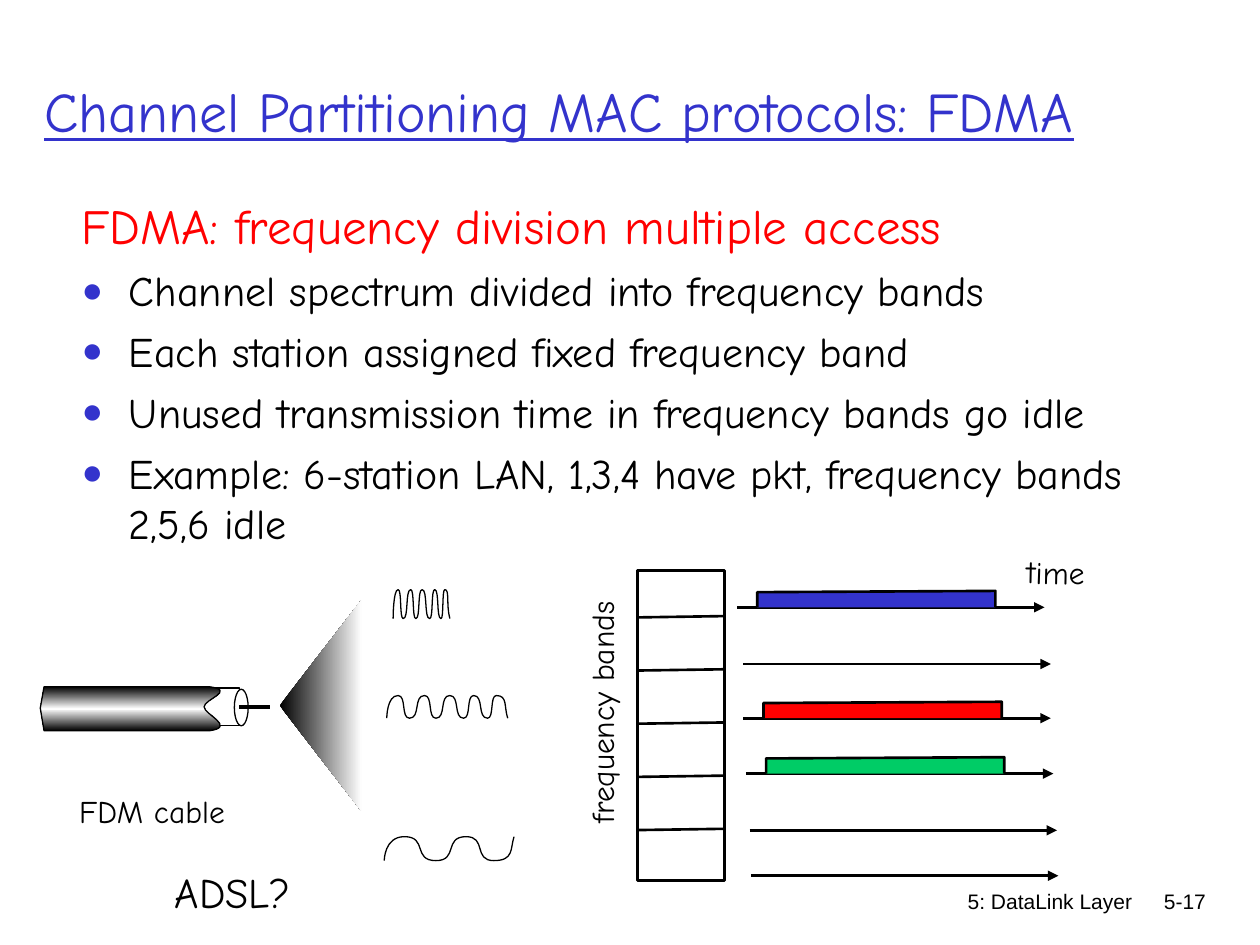
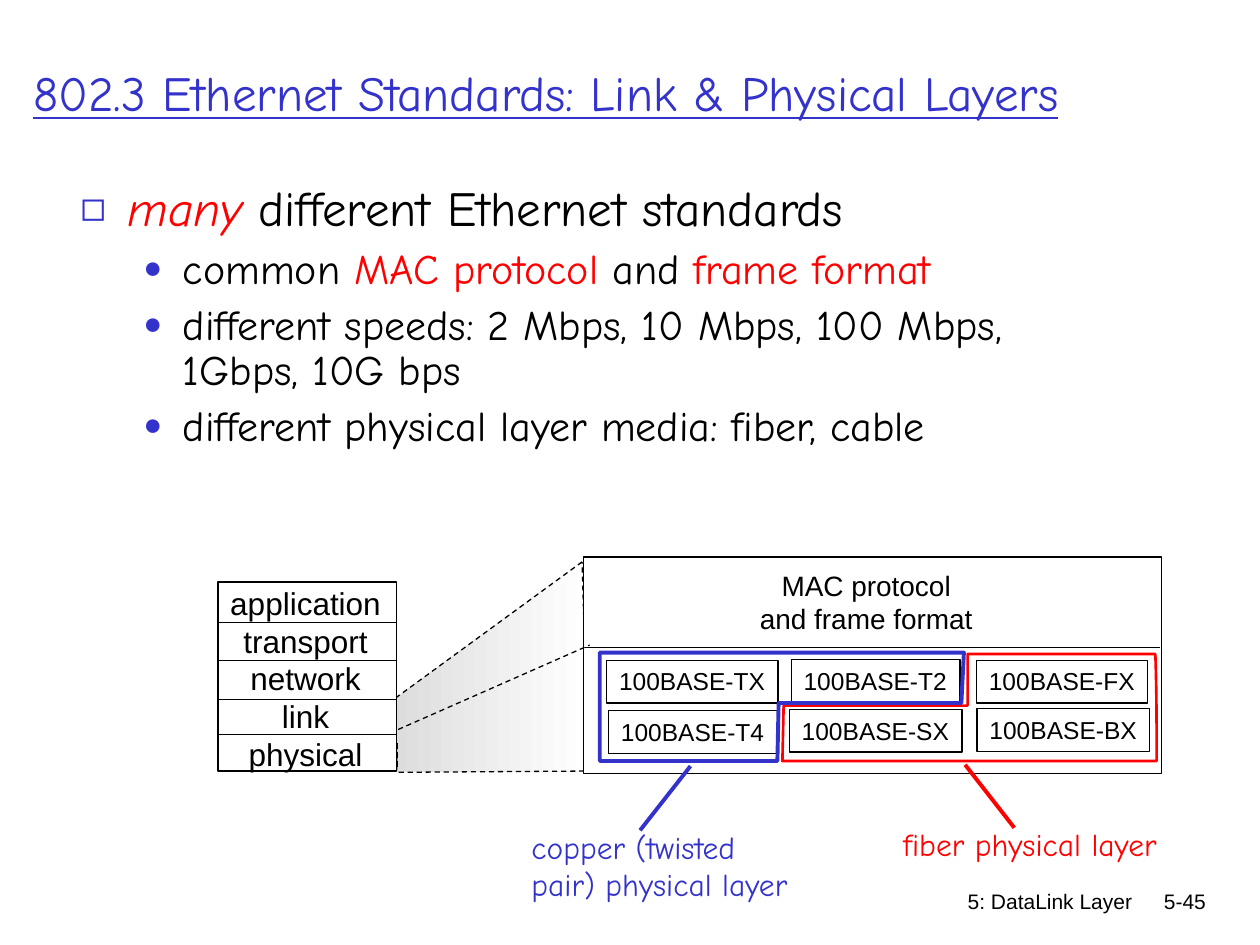
from lxml import etree
from pptx import Presentation
from pptx.dml.color import RGBColor
from pptx.enum.dml import MSO_LINE
from pptx.enum.shapes import MSO_CONNECTOR, MSO_SHAPE
from pptx.enum.text import MSO_ANCHOR, MSO_AUTO_SIZE, PP_ALIGN
from pptx.oxml import parse_xml
from pptx.oxml.ns import nsdecls, qn
from pptx.util import Inches, Pt

# Grid: 100 columns by 75 rows over a 10 x 7.5 inch slide
COLUMNS, ROWS = 100, 75
CELL = Inches(10) // COLUMNS
TITLE_FONT, LABEL_FONT = "Comic Neue", "Arial"
COLORS = {"black": "000000", "white": "FFFFFF", "blue": "3333CC",
          "red": "FF0000", "green": "00CC66", "mist": "DDDDDD"}


def cells(count):
    return round(count * CELL)


def rgb(name):
    return RGBColor.from_string(COLORS[name])


# Text
def para(*runs, **style):
    return {"runs": runs, **style}


def add_bullet(paragraph, char, size, indent, hanging):
    props = paragraph._p.get_or_add_pPr()
    props.set("marL", str(cells(indent)))
    props.set("indent", str(-cells(hanging)))
    if char:
        color = etree.SubElement(props, qn("a:buClr"))
        etree.SubElement(color, qn("a:srgbClr"), val=COLORS["blue"])
        etree.SubElement(props, qn("a:buSzPct"), val=str(size * 1000))
        etree.SubElement(props, qn("a:buFont"), typeface=LABEL_FONT)
        etree.SubElement(props, qn("a:buChar"), char=char)


def write_text(frame, paragraphs, size=18, font=TITLE_FONT, color="black",
               align=PP_ALIGN.LEFT, underline=None, anchor=MSO_ANCHOR.TOP,
               wrap=False, spacing=None):
    """Fill a frame; a paragraph is a string or para(), a run a string or (string, color, italic)."""
    frame.word_wrap = wrap
    frame.auto_size = MSO_AUTO_SIZE.NONE
    frame.vertical_anchor = anchor
    for index, item in enumerate(paragraphs):
        item = para(item) if isinstance(item, str) else item
        paragraph = frame.add_paragraph() if index else frame.paragraphs[0]
        if "bullet" in item:
            add_bullet(paragraph, *item["bullet"])
        paragraph.alignment = align
        if spacing:
            paragraph.line_spacing = spacing
        if index and "before" in item:
            paragraph.space_before = Pt(item["before"])
        for piece in item["runs"]:
            words, tint, italic = (piece, color, None) if isinstance(piece, str) else piece
            run = paragraph.add_run()
            run.text = words
            run.font.name = font
            run.font.size = Pt(item.get("size", size))
            run.font.color.rgb = rgb(tint)
            run.font.italic = italic
            run.font.underline = underline


def add_label(slide, box, *paragraphs, rotation=0, **style):
    label = slide.shapes.add_textbox(*map(cells, box))
    label.rotation = rotation
    write_text(label.text_frame, paragraphs, **style)


# Lines and shapes
def set_line(line, color, width, dashed=False):
    line.color.rgb = rgb(color)
    line.width = Pt(width)
    if dashed:
        line.dash_style = MSO_LINE.DASH


def add_line(slide, start, end, color="black", width=0.75, dashed=False, arrow=False):
    line = slide.shapes.add_connector(MSO_CONNECTOR.STRAIGHT, *map(cells, (*start, *end)))
    set_line(line.line, color, width, dashed)
    if arrow:
        etree.SubElement(line.line._get_or_add_ln(), qn("a:tailEnd"), type="triangle")
    etree.SubElement(line._element.spPr, qn("a:effectLst"))


def paint(shape, fill, line, width, dashed=False):
    shape.shadow.inherit = False
    if fill:
        shape.fill.solid()
        shape.fill.fore_color.rgb = rgb(fill)
    else:
        shape.fill.background()
    if line:
        set_line(shape.line, line, width, dashed)
    else:
        shape.line.fill.background()


def add_box(slide, box, kind=MSO_SHAPE.RECTANGLE, fill="white", width=0.75):
    shape = slide.shapes.add_shape(kind, *map(cells, box))
    paint(shape, fill, "black", width)
    return shape


def add_outline(slide, points, fill=None, line="black", width=0.75, dashed=False,
                closed=True, bends=None):
    """Draw through the points; bends maps a point's index to the two handles of its curve."""
    (left, top), *rest = [(cells(x), cells(y)) for x, y in points]
    builder = slide.shapes.build_freeform(left, top)
    builder.add_line_segments(rest, close=closed)
    shape = builder.convert_to_shape()
    paint(shape, fill, line, width, dashed)
    strokes = list(shape._element.iter(qn("a:lnTo")))
    for index, handles in (bends or {}).items():
        stroke = strokes[index - 1]
        stroke.tag = qn("a:cubicBezTo")
        for place, (x, y) in enumerate(handles):
            handle = etree.Element(qn("a:pt"), x=str(cells(x) - shape.left),
                                   y=str(cells(y) - shape.top))
            stroke.insert(place, handle)
    return shape


def add_gradient(shape, *colors, angle=0):
    stops = "".join(
        f'<a:gs pos="{100000 * i // (len(colors) - 1)}"><a:srgbClr val="{COLORS[c]}"/></a:gs>'
        for i, c in enumerate(colors))
    gradient = parse_xml(f'<a:gradFill {nsdecls("a")} rotWithShape="1"><a:gsLst>{stops}</a:gsLst>'
                         f'<a:lin ang="{angle * 60000}" scaled="0"/></a:gradFill>')
    props = shape._element.spPr
    props.replace(props.find(qn("a:noFill")), gradient)


def add_wave(slide, turns, crest, trough):
    """Draw a wave that swings between trough and crest at each turn."""
    points = [(x, crest if i % 2 else trough) for i, x in enumerate(turns)]
    bends = {}
    for i, ((x0, y0), (x1, y1)) in enumerate(zip(points, points[1:]), start=1):
        bends[i] = (x0 + 0.75 * (x1 - x0), y0), (x0 + 0.25 * (x1 - x0), y1)
    (x0, y0), (_, y1) = points[:2]
    bends[1] = (x0, y0), (x0, y1)
    (_, y0), (x1, y1) = points[-2:]
    bends[len(points) - 1] = (x1, y0), (x1 - 0.3, (y0 + y1) / 2)
    add_outline(slide, points, closed=False, bends=bends)


# Shared slide frame
def add_titled_slide(deck, title, box, size, number):
    slide = deck.slides.add_slide(deck.slide_layouts[5])
    heading = slide.shapes.title
    heading.left, heading.top, heading.width, heading.height = map(cells, box)
    write_text(heading.text_frame, [title], size=size, color="blue", underline=True,
               anchor=MSO_ANCHOR.MIDDLE, wrap=True)
    for words, left, width in (("5: DataLink Layer", 59.2, 31.65), (number, 89.3, 7.4)):
        add_label(slide, (left, 70, width, 5), words, size=12, font=LABEL_FONT,
                  align=PP_ALIGN.RIGHT, wrap=True)
    return slide


# FDMA slide
def draw_frequency_bands(slide):
    add_box(slide, (50.6, 45.3, 6.9, 24.6), width=1.5)
    for band in range(5):
        y = 48.9 + 4.22 * band
        add_line(slide, (50.6, y + 0.1), (57.4, y), width=1.5)
    stations = [(58.5, 48.2, "blue"), (59, 52.7, None), (59, 57, "red"),
                (59.2, 61.4, "green"), (59.5, 65.9, None), (59.6, 69.5, None)]
    for x, y, packet in stations:
        add_line(slide, (x, y), (x + 24.4, y), width=1.5, arrow=True)
        if packet:
            left, right = x + 1.6, x + 20.5
            add_outline(slide, [(left, y), (left, y - 1.2), (right, y - 1.3), (right, y)],
                        fill=packet, width=1.5, closed=False)
    add_label(slide, (37.9, 54.5, 19.7, 4), "frequency bands", rotation=270)
    add_label(slide, (80.5, 43.4, 6.6, 4), "time", rotation=1.1)


def draw_cable(slide):
    cone = add_outline(slide, [(28.7, 47.6), (22.2, 56), (28.7, 64.4)], line=None)
    add_gradient(cone, "black", "white")
    add_box(slide, (16.1, 54.6, 2.9, 3))
    jacket = add_outline(
        slide, [(3.5, 54.5), (3.2, 56.2), (3.5, 58), (16.6, 58), (16.2, 56.1), (16.6, 54.5)],
        bends={4: ((18.8, 57.7), (16.2, 56.7)), 5: ((16.2, 55.5), (18.8, 54.8))})
    add_gradient(jacket, "black", "white", "black", angle=90)
    add_box(slide, (18.6, 54.7, 1.1, 2.9), MSO_SHAPE.OVAL)
    add_line(slide, (19, 56.1), (21.4, 56.1), width=2.25)
    add_wave(slide, [30.7, 31.6, 32.5, 33.7, 34.6, 35.7, 36.8, 37.6, 38.7, 39.4, 40.3], 55.2, 57)
    add_wave(slide, [31.2, 31.6, 32, 32.6, 33, 33.5, 34.1, 34.5, 35, 35.3, 35.7], 46.8, 49.1)
    add_wave(slide, [30.5, 32.1, 34.6, 37, 39.2, 40.8], 66.4, 68.3)
    add_label(slide, (5.3, 62.4, 13.6, 4), "FDM cable")
    add_label(slide, (12.9, 68.3, 11.2, 5), "ADSL?", size=24)


def build_fdma(deck):
    slide = add_titled_slide(deck, "Channel Partitioning MAC protocols: FDMA",
                             (2.5, 2.5, 94.4, 12.5), 32, "5-17")
    facts = ["Channel spectrum divided into frequency bands",
             "Each station assigned fixed frequency band",
             "Unused transmission time in frequency bands go idle",
             "Example: 6-station LAN, 1,3,4 have pkt, frequency bands 2,5,6 idle"]
    add_label(slide, (5.5, 15, 89.9, 50.8),
              para(("FDMA: frequency division multiple access", "red", None), size=28,
                   bullet=(None, 0, 3.75, 3.75)),
              *(para(fact, before=6, bullet=("●", 85, 3.75, 3.75)) for fact in facts),
              size=24, wrap=True)
    draw_frequency_bands(slide)
    draw_cable(slide)


# Ethernet standards slide
def draw_layer_stack(slide):
    left, right = 17.3, 31.5
    zoom = add_outline(slide, [(46.2, 44.6), (31.4, 55.4), (31.5, 61.3), (46.7, 61.2)],
                       dashed=True)
    add_gradient(zoom, "mist", "white")
    add_box(slide, (left, 46.2, right - left, 15))
    add_label(slide, (left, 45.85, 13.9, 16), "application", "transport", "network", "link",
              "physical", font=LABEL_FONT, align=PP_ALIGN.CENTER)
    for y in (49.4, 52.4, 55.5, 58.3):
        add_line(slide, (left, y), (right, y))
    for x in (left, right):
        add_line(slide, (x, 59), (x, 60.9), dashed=True)


def draw_standards(slide):
    add_box(slide, (46.3, 44.2, 45.9, 17.2))
    add_line(slide, (46.4, 51.4), (92.1, 51.4))
    add_label(slide, (59.3, 44.6, 18.9, 6.4), "MAC protocol", "and frame format", size=16,
              font=LABEL_FONT, align=PP_ALIGN.CENTER)
    add_line(slide, (31.6, 57.9), (46.8, 51.2), dashed=True)
    media = [("TX", 48.15, 52.4, 13.6), ("T4", 48.3, 56.4, 13.4), ("FX", 77.5, 52.4, 13.6),
             ("T2", 62.8, 52.35, 13.4), ("SX", 62.65, 56.3, 13.7), ("BX", 77.55, 56.25, 13.7)]
    for medium, left, top, width in media:
        standard = add_box(slide, (left, top, width, 3.4), fill=None)
        write_text(standard.text_frame, [f"100BASE-{medium}"], size=14, font=LABEL_FONT)


def draw_media_groups(slide):
    # Fiber
    add_outline(slide, [(76.8, 51.9), (76.8, 56), (62.2, 56), (62.1, 60.4), (91.8, 60.4),
                        (91.7, 51.9)], line="red", width=1.5,
                bends={5: ((91.8, 57.6), (91.8, 54.6))})
    add_line(slide, (76.6, 60.7), (80.5, 65.7), "red", 2.25)
    add_label(slide, (70.7, 64.95, 22.1, 4), "fiber physical layer", color="red")
    # Copper
    add_outline(slide, [(76.5, 51.8), (76.3, 55.8), (61.8, 55.8), (61.7, 60.4), (47.6, 60.4),
                        (47.6, 51.8)], line="blue", width=2.25)
    add_line(slide, (54.8, 60.8), (50.8, 65.9), "blue", 2.25)
    add_label(slide, (41.2, 65.2, 22.3, 7), "copper (twisted", "pair) physical layer",
              color="blue")


def build_ethernet(deck):
    slide = add_titled_slide(deck, "802.3 Ethernet Standards: Link & Physical Layers",
                             (1.65, 1.05, 95.3, 12.5), 28, "5-45")
    detail = {"before": 6, "bullet": ("●", 75, 8.13, 3.13)}
    add_label(slide, (5.4, 14.15, 85, 23),
              para(("many", "red", True), " different Ethernet standards", size=28,
                   bullet=("◻", 85, 3.75, 3.75)),
              para("common ", ("MAC protocol", "red", None), " and ",
                   ("frame format", "red", None), **detail),
              para("different speeds: 2 Mbps, 10 Mbps, 100 Mbps, 1Gbps, 10G bps", **detail),
              para("different physical layer media: fiber, cable", **detail),
              size=24, wrap=True, spacing=0.9)
    draw_layer_stack(slide)
    draw_standards(slide)
    draw_media_groups(slide)


def main():
    deck = Presentation()
    deck.slide_width, deck.slide_height = cells(COLUMNS), cells(ROWS)
    build_fdma(deck)
    build_ethernet(deck)
    deck.save("out.pptx")


if __name__ == "__main__":
    main()
